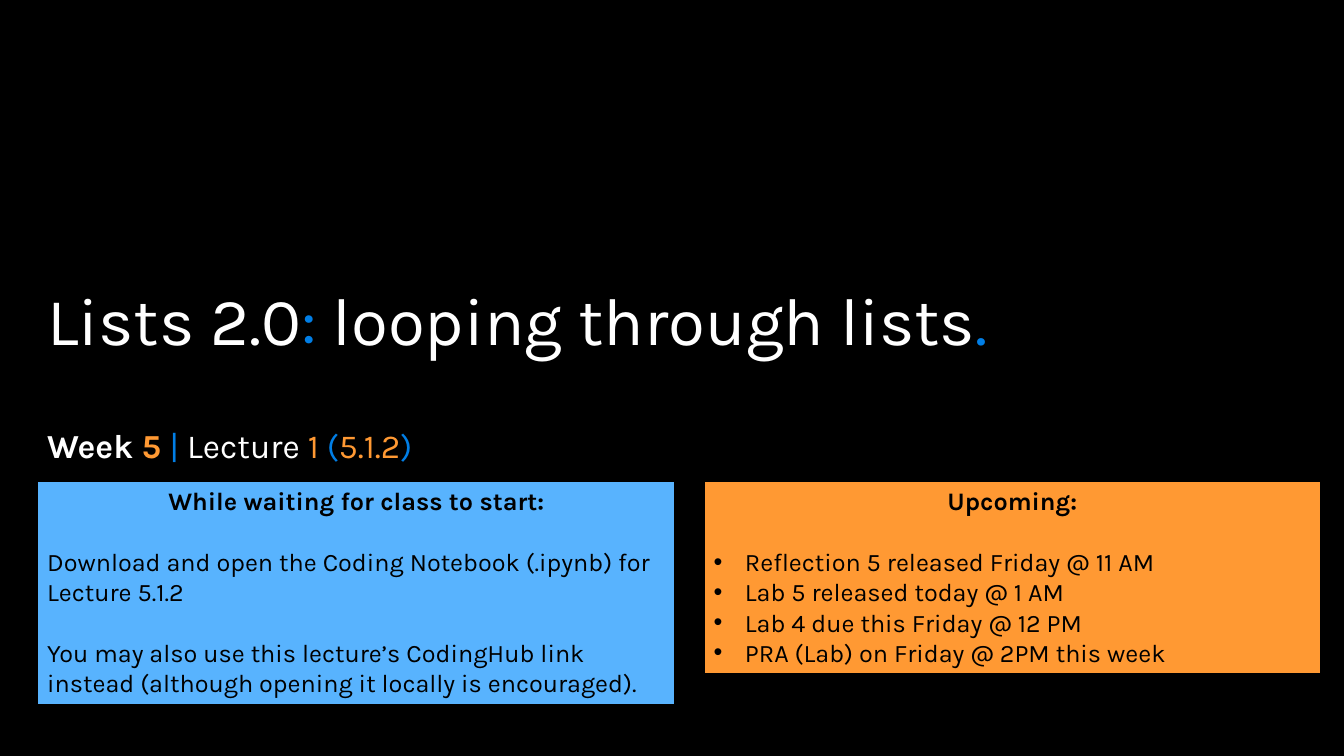
from lxml.etree import SubElement
from pptx import Presentation
from pptx.dml.color import RGBColor
from pptx.enum.shapes import MSO_SHAPE
from pptx.enum.text import MSO_ANCHOR, MSO_AUTO_SIZE, PP_ALIGN
from pptx.oxml.ns import qn
from pptx.util import Inches, Pt

BLACK = RGBColor(0x00, 0x00, 0x00)
WHITE = RGBColor(0xFF, 0xFF, 0xFF)
BLUE = RGBColor(0x01, 0x7E, 0xE5)
SKY = RGBColor(0x58, 0xB3, 0xFE)
ORANGE = RGBColor(0xFF, 0x99, 0x33)

LEFT = 0.37
HEADING_WIDTH = 12.46
PANEL_TOP = 4.77


class LectureSlide:
    font = "Karla"
    panel_size = 18
    blank_line = Pt(21.7)
    bullet_indent = Inches(0.31)

    def __init__(self, presentation):
        self.slide = presentation.slides.add_slide(presentation.slide_layouts[6])
        fill = self.slide.background.fill
        fill.solid()
        fill.fore_color.rgb = BLACK

    def run(self, paragraph, text, size, color, bold=False):
        run = paragraph.add_run()
        run.text = text
        run.font.name = self.font
        run.font.size = Pt(size)
        run.font.bold = bold
        run.font.color.rgb = color

    def heading(self, top, height, size, runs, anchor=MSO_ANCHOR.TOP, space_before=0):
        box = self.slide.shapes.add_textbox(
            Inches(LEFT), Inches(top), Inches(HEADING_WIDTH), Inches(height)
        )
        frame = box.text_frame
        frame.word_wrap = True
        frame.vertical_anchor = anchor
        paragraph = frame.paragraphs[0]
        paragraph.line_spacing = 0.9
        paragraph.space_before = Pt(space_before)
        for text, color, bold in runs:
            self.run(paragraph, text, size, color, bold)

    def bullet(self, paragraph):
        properties = paragraph._p.get_or_add_pPr()
        properties.set("marL", str(self.bullet_indent))
        properties.set("indent", str(-self.bullet_indent))
        SubElement(properties, qn("a:buFont"), typeface="Arial")
        SubElement(properties, qn("a:buChar"), char="•")

    def panel(self, left, width, height, color, title, lines, bulleted=False):
        shape = self.slide.shapes.add_shape(
            MSO_SHAPE.RECTANGLE,
            Inches(left), Inches(PANEL_TOP), Inches(width), Inches(height),
        )
        shape.shadow.inherit = False
        shape.fill.solid()
        shape.fill.fore_color.rgb = color
        shape.line.color.rgb = BLACK
        shape.line.width = Pt(1.5)
        frame = shape.text_frame
        frame.word_wrap = True
        frame.auto_size = MSO_AUTO_SIZE.SHAPE_TO_FIT_TEXT
        frame.vertical_anchor = MSO_ANCHOR.TOP
        header = frame.paragraphs[0]
        header.alignment = PP_ALIGN.CENTER
        self.run(header, title, self.panel_size, BLACK, True)
        for index, line in enumerate(lines):
            paragraph = frame.add_paragraph()
            paragraph.alignment = PP_ALIGN.LEFT
            if index == 0 or not bulleted:
                paragraph.space_before = self.blank_line
            if bulleted:
                self.bullet(paragraph)
            self.run(paragraph, line, self.panel_size, BLACK)


def main():
    presentation = Presentation()
    presentation.slide_width = Inches(13.33)
    presentation.slide_height = Inches(7.5)
    lecture = LectureSlide(presentation)
    lecture.heading(2.64, 0.98, 48, [
        ("Lists 2.0", WHITE, False),
        (":", BLUE, False),
        (" looping through lists", WHITE, False),
        (".", BLUE, False),
    ], anchor=MSO_ANCHOR.BOTTOM)
    lecture.heading(4.21, 0.5, 24, [
        ("Week ", WHITE, True),
        ("5 ", ORANGE, True),
        ("|", BLUE, False),
        (" Lecture ", WHITE, False),
        ("1 ", ORANGE, False),
        ("(", BLUE, False),
        ("5.1.2", ORANGE, False),
        (")", BLUE, False),
    ], space_before=10)
    lecture.panel(6.98, 6.12, 1.92, ORANGE, "Upcoming:", [
        "Reflection 5 released Friday @ 11 AM",
        "Lab 5 released today @ 1 AM",
        "Lab 4 due this Friday @ 12 PM",
        "PRA (Lab) on Friday @ 2PM this week",
    ], bulleted=True)
    lecture.panel(LEFT, 6.33, 2.22, SKY, "While waiting for class to start:", [
        "Download and open the Coding Notebook (.ipynb) for Lecture 5.1.2",
        "You may also use this lecture’s CodingHub link instead "
        "(although opening it locally is encouraged).",
    ])
    presentation.save("out.pptx")


if __name__ == "__main__":
    main()
